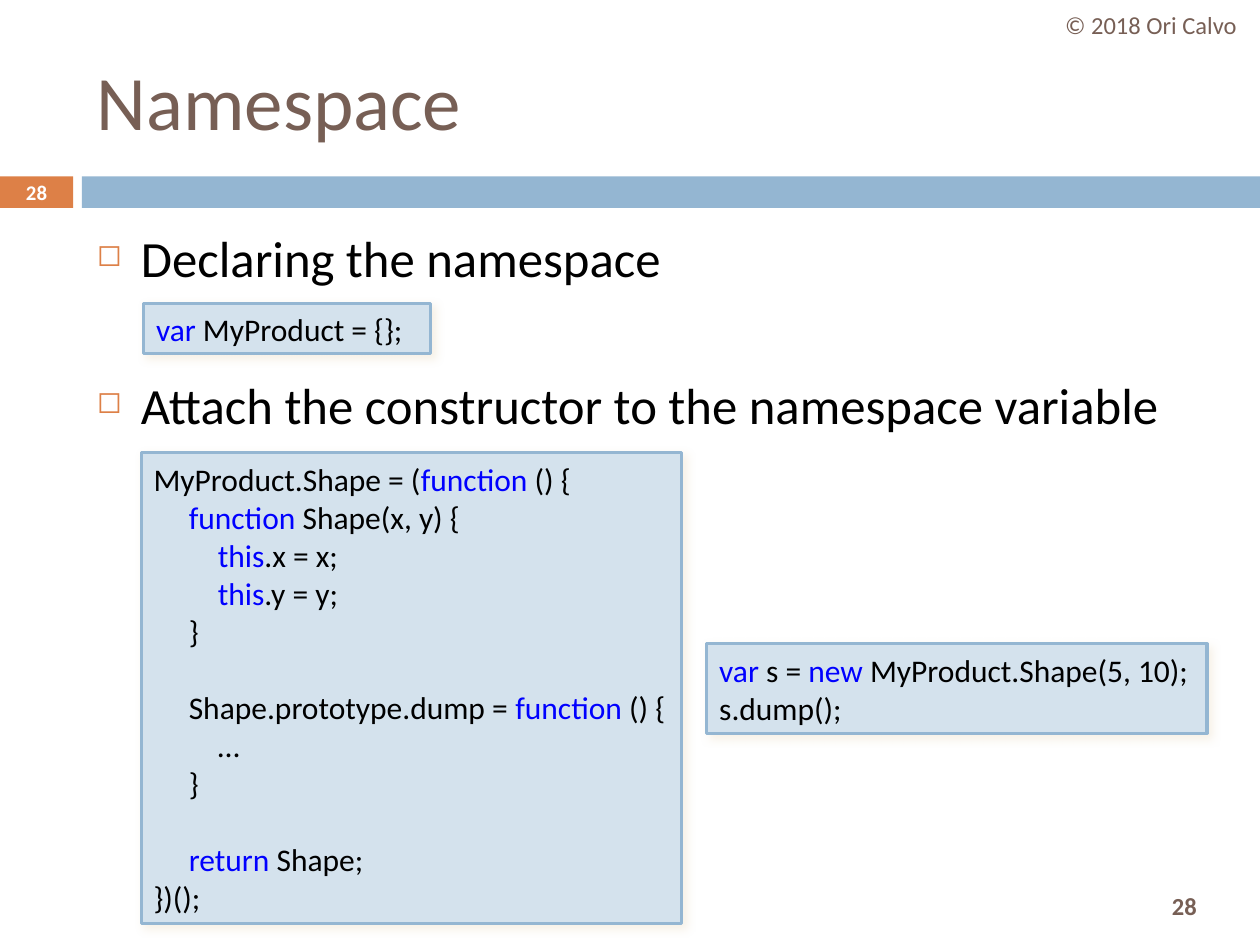
import pptx
import pptx.dml.color
import pptx.enum.shapes
import pptx.enum.text
import pptx.oxml.ns
import pptx.util
from lxml import etree

Inches = pptx.util.Inches
Pt = pptx.util.Pt
RGBColor = pptx.dml.color.RGBColor
Align = pptx.enum.text.PP_ALIGN
Anchor = pptx.enum.text.MSO_ANCHOR
qn = pptx.oxml.ns.qn

BROWN = RGBColor(0x77, 0x5F, 0x55)
ORANGE = RGBColor(0xDD, 0x80, 0x47)
BLUE = RGBColor(0x94, 0xB6, 0xD2)
PALE_BLUE = RGBColor(0xD4, 0xE2, 0xED)
SAND = RGBColor(0xEB, 0xDD, 0xC3)
KEYWORD = RGBColor(0x00, 0x00, 0xFF)
BLACK = RGBColor(0x00, 0x00, 0x00)
WHITE = RGBColor(0xFF, 0xFF, 0xFF)

CODE_SIZE = 18
CODE_LINE = 22
INDENTS = (0, 0.28, 0.51)

DECLARATION = [(0, 0, "|var| MyProduct = {};")]
CONSTRUCTOR = [
    (0, 0, "MyProduct.Shape = (|function| () {"),
    (1, 0, "|function| Shape(x, y) {"),
    (2, 0, "|this|.x = x;"),
    (2, 0, "|this|.y = y;"),
    (1, 0, "}"),
    (1, 1, "Shape.prototype.dump = |function| () {"),
    (2, 0, "…"),
    (1, 0, "}"),
    (1, 1, "|return| Shape;"),
    (0, 0, "})();"),
]
USAGE = [
    (0, 0, "|var| s = |new| MyProduct.Shape(5, 10);"),
    (0, 0, "s.dump();"),
]


class SlideBuilder:
    font = "Calibri"

    def __init__(self, page):
        self.page = page

    def style(self, span, size, color, bold=False):
        span.font.name = self.font
        span.font.size = Pt(size)
        span.font.color.rgb = color
        span.font.bold = bold

    def rectangle(self, left, top, width, height, fill):
        box = self.page.shapes.add_shape(
            pptx.enum.shapes.MSO_SHAPE.RECTANGLE,
            Inches(left), Inches(top), Inches(width), Inches(height))
        box.fill.solid()
        box.fill.fore_color.rgb = fill
        box.line.fill.background()
        box.shadow.inherit = False
        return box

    def text_box(self, left, top, width, height, anchor):
        box = self.page.shapes.add_textbox(
            Inches(left), Inches(top), Inches(width), Inches(height))
        box.text_frame.word_wrap = True
        box.text_frame.vertical_anchor = anchor
        return box.text_frame

    def label(self, left, top, width, height, text, size, color,
              bold=False, align=Align.CENTER):
        frame = self.text_box(left, top, width, height, Anchor.MIDDLE)
        frame.text = text
        frame.paragraphs[0].alignment = align
        self.style(frame.paragraphs[0].runs[0], size, color, bold)

    def bullets(self, left, top, width, height, items):
        frame = self.text_box(left, top, width, height, Anchor.TOP)
        frame.text = "\n".join(text for text, gap in items)
        for para, (text, gap) in zip(frame.paragraphs, items):
            para.space_before = Pt(gap)
            self.style(para.runs[0], 29, BLACK)
            settings = para._p.get_or_add_pPr()
            settings.set("marL", str(Inches(0.35)))
            settings.set("indent", str(-Inches(0.35)))
            color = etree.SubElement(settings, qn("a:buClr"))
            etree.SubElement(color, qn("a:srgbClr"), val=str(ORANGE))
            etree.SubElement(settings, qn("a:buSzPct"), val="60000")
            etree.SubElement(settings, qn("a:buChar"), char="◻")

    def soft_shadow(self, box):
        effects = box._element.spPr.find(qn("a:effectLst"))
        shadow = etree.SubElement(
            effects, qn("a:outerShdw"), blurRad=str(Pt(5)),
            dist=str(Pt(2.9)), dir="2700000", algn="tl", rotWithShape="0")
        color = etree.SubElement(shadow, qn("a:srgbClr"), val=str(SAND))
        etree.SubElement(color, qn("a:alpha"), val="40000")

    def code(self, left, top, width, height, lines):
        box = self.rectangle(left, top, width, height, PALE_BLUE)
        box.line.color.rgb = BLUE
        box.line.width = Pt(1.75)
        self.soft_shadow(box)
        frame = box.text_frame
        frame.word_wrap = False
        frame.vertical_anchor = Anchor.MIDDLE
        frame.text = "\n" * (len(lines) - 1)
        for para, (level, gap, text) in zip(frame.paragraphs, lines):
            para.alignment = Align.LEFT
            para.space_before = Pt(gap * CODE_LINE)
            para._p.get_or_add_pPr().set("marL", str(Inches(INDENTS[level])))
            for index, part in enumerate(text.split("|")):
                if part:
                    span = para.add_run()
                    span.text = part
                    self.style(span, CODE_SIZE, KEYWORD if index % 2 else BLACK)


def main():
    deck = pptx.Presentation()
    deck.slide_width = Inches(10)
    deck.slide_height = Inches(7.5)
    slide = SlideBuilder(deck.slides.add_slide(deck.slide_layouts[6]))

    slide.rectangle(0, 1.4, 0.58, 0.25, ORANGE)
    slide.rectangle(0.65, 1.4, 9.35, 0.25, BLUE)
    slide.label(8.94, 6.98, 0.92, 0.42, "28", 14, BROWN, bold=True)
    slide.label(0.67, 0.25, 8.92, 1.08, "Namespace", 44, BROWN, align=Align.LEFT)
    slide.label(8.27, 0, 1.73, 0.4, "© 2018 Ori Calvo", 14, BROWN)
    slide.label(0, 1.39, 0.58, 0.27, "28", 11.9, WHITE, bold=True)
    slide.bullets(0.67, 1.75, 8.92, 4.92, [
        ("Declaring the namespace", 7),
        ("Attach the constructor to the namespace variable", 49),
    ])
    slide.code(1.14, 2.41, 2.28, 0.4, DECLARATION)
    slide.code(1.12, 3.59, 4.29, 3.74, CONSTRUCTOR)
    slide.code(5.61, 5.11, 3.97, 0.71, USAGE)
    deck.save("out.pptx")


if __name__ == "__main__":
    main()
